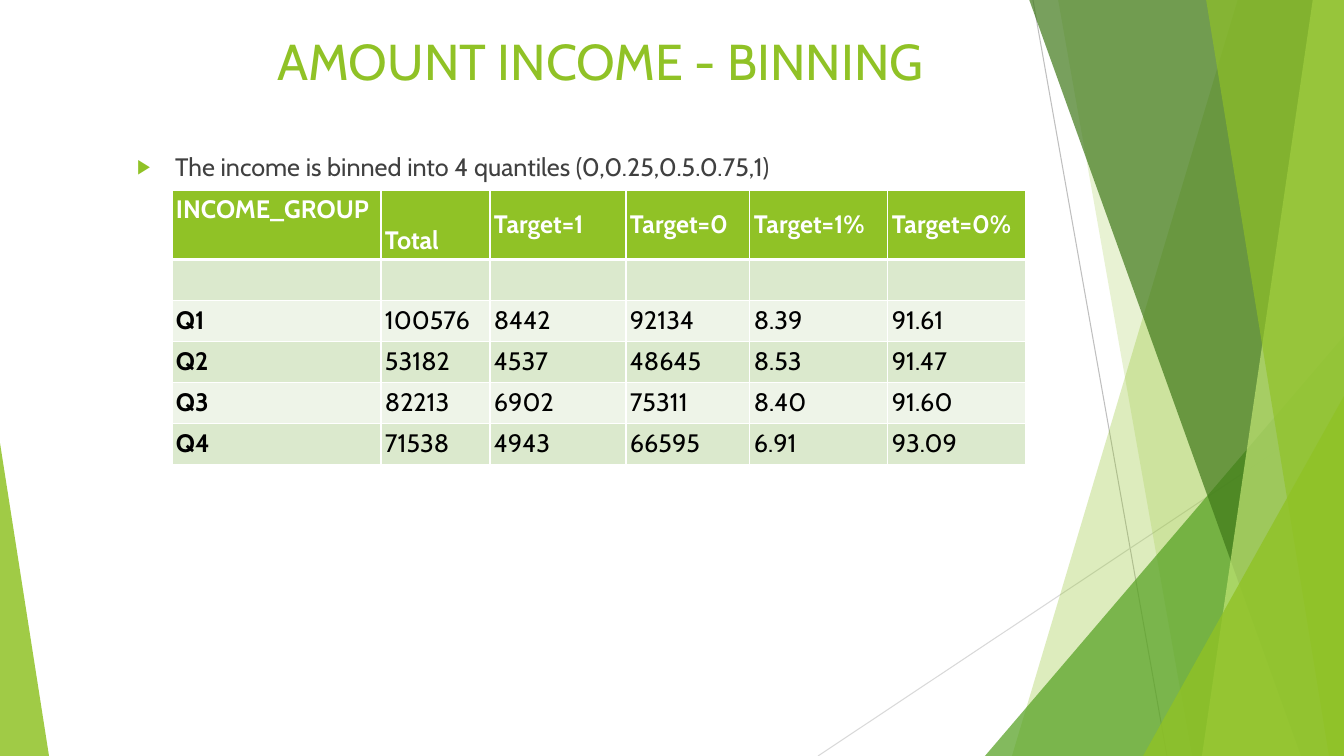
from lxml import etree
from pptx import Presentation
from pptx import util as u
from pptx.dml.color import RGBColor
from pptx.enum import shapes, text
from pptx.oxml.ns import qn

SCALE = 12192000 / 1344  # EMU per px
WIDTH, HEIGHT = 1344, 756
GREEN, WHITE, BLACK, GREY = "90C226", "FFFFFF", "000000", "404040"
BANDS = ("DBE9CD", "EEF4E8")


def px(n):
    return u.Emu(round(n * SCALE))


def rgb(value):
    return RGBColor.from_string(value)


def child(parent, tag, **attrs):
    return etree.SubElement(parent, qn(tag), attrs)


def write(p, content, size=18, color=BLACK, bold=False, align=None, font="Cabin"):
    """Write formatted text into a paragraph; newlines become line breaks."""
    p.alignment = align
    p.space_before = u.Pt(0)
    for i, line in enumerate(content.split("\n")):
        if i:
            p.add_line_break()
        if not line:
            continue
        r = p.add_run()
        r.text = line
        r.font.name, r.font.size, r.font.bold = font, u.Pt(size), bold
        r.font.color.rgb = rgb(color)


class Deck:
    def __init__(self):
        self.prs = Presentation()
        self.prs.slide_width, self.prs.slide_height = px(WIDTH), px(HEIGHT)
        self.slide = self.prs.slides.add_slide(self.prs.slide_layouts[1])
        self.shapes = self.slide.shapes

    def line(self, x1, y1, x2, y2, color):
        cxn = self.shapes.add_connector(
            shapes.MSO_CONNECTOR.STRAIGHT, px(x1), px(y1), px(x2), px(y2))
        cxn.line.color.rgb = rgb(color)
        cxn.line.width = u.Pt(0.75)
        child(cxn._element.spPr, "a:effectLst")

    def paint(self, sp, color, opacity):
        sp.shadow.inherit = False
        sp.line.fill.background()
        sp.fill.solid()
        sp.fill.fore_color.rgb = rgb(color)
        srgb = sp._element.spPr.find(".//" + qn("a:srgbClr"))
        child(srgb, "a:alpha", val=str(opacity * 1000))

    def band(self, top, bottom, color, opacity):
        """Full-height band from a slanted left edge to the right slide edge."""
        fb = self.shapes.build_freeform(px(top), px(-1), scale=1.0)
        fb.add_line_segments([(px(x), px(y)) for x, y in (
            (WIDTH, -1), (WIDTH, HEIGHT), (bottom, HEIGHT))], close=True)
        self.paint(fb.convert_to_shape(), color, opacity)

    def triangle(self, x, y, w, apex, color, opacity):
        """Triangle standing on the bottom slide edge."""
        sp = self.shapes.add_shape(
            shapes.MSO_SHAPE.ISOSCELES_TRIANGLE, px(x), px(y), px(w), px(HEIGHT - y))
        sp.adjustments[0] = apex
        self.paint(sp, color, opacity)

    def placeholder(self, idx, x, y, w, h):
        """Move a placeholder in front of the decoration; return its paragraph."""
        sp = self.slide.placeholders[idx]
        self.shapes._spTree.append(sp._element)
        sp.left, sp.top, sp.width, sp.height = px(x), px(y), px(w), px(h)
        tf = sp.text_frame
        tf.word_wrap = True
        tf.auto_size = text.MSO_AUTO_SIZE.NONE
        tf.vertical_anchor = text.MSO_ANCHOR.TOP
        return tf.paragraphs[0]

    def title(self, content, *box):
        write(self.placeholder(0, *box), content, size=36, color=GREEN,
              align=text.PP_ALIGN.CENTER)

    def bullet(self, content, *box):
        p = self.placeholder(1, *box)
        pPr = p._p.get_or_add_pPr()
        pPr.set("marL", str(px(38)))
        pPr.set("indent", str(px(-38)))
        child(child(pPr, "a:buClr"), "a:srgbClr", val=GREEN)
        child(pPr, "a:buSzPct", val="80000")
        child(pPr, "a:buChar", char="▶")
        write(p, content, color=GREY)

    def borders(self, cell, **widths):
        tcPr = cell._tc.get_or_add_tcPr()
        for side in "LRTB":
            ln = child(tcPr, "a:ln" + side, w=str(u.Pt(widths.get(side, 1))))
            child(child(ln, "a:solidFill"), "a:srgbClr", val=WHITE)

    def table(self, rows, x, y, widths, heights):
        tbl = self.shapes.add_table(len(rows), len(widths), px(x), px(y),
                                    px(sum(widths)), px(sum(heights))).table
        for col, w in zip(tbl.columns, widths):
            col.width = px(w)
        for i, (row, h) in enumerate(zip(rows, heights)):
            tbl.rows[i].height = px(h)
            header = i == 0
            for j, value in enumerate(row):
                cell = tbl.cell(i, j)
                cell.margin_left = cell.margin_right = px(4)
                cell.margin_top = cell.margin_bottom = px(4)
                # The first header sits level with the upper line of its row
                top = header and j == 0
                cell.vertical_anchor = (
                    text.MSO_ANCHOR.TOP if top else text.MSO_ANCHOR.MIDDLE)
                self.borders(cell, B=3 if header else 1, T=3 if i == 1 else 1)
                cell.fill.solid()
                cell.fill.fore_color.rgb = rgb(GREEN if header else BANDS[(i - 1) % 2])
                write(cell.text_frame.paragraphs[0], value,
                      color=WHITE if header else BLACK, bold=header or j == 0)


def main():
    deck = Deck()

    # Background facets, back to front
    deck.line(1033, 0, 1167, HEIGHT, "BFBFBF")
    deck.line(WIDTH, 406, 818, HEIGHT, "D9D9D9")
    deck.band(1238, 1012, GREEN, 30)
    deck.band(1058, 1192, GREEN, 20)
    deck.triangle(985, 336, 359, 1, "54A021", 72)
    deck.band(1029, 1301, "3F7819", 70)
    deck.band(1313, 1202, "C0E474", 70)
    deck.band(1206, 1329, GREEN, 65)
    deck.triangle(1143, 396, 201, 1, GREEN, 80)
    deck.triangle(0, 443, 49, 0, GREEN, 85)

    # Title and bullet
    deck.title("AMOUNT INCOME - BINNING", 21, 25, 1159, 89)
    deck.bullet("The income is binned into 4 quantiles (0,0.25,0.5.0.75,1)",
                127, 146, 948, 427)

    # Income quantile table
    rows = [
        ["INCOME_GROUP", "\nTotal", "Target=1", "Target=0", "Target=1%", "Target=0%"],
        [""] * 6,
        ["Q1", "100576", "8442", "92134", "8.39", "91.61"],
        ["Q2", "53182", "4537", "48645", "8.53", "91.47"],
        ["Q3", "82213", "6902", "75311", "8.40", "91.60"],
        ["Q4", "71538", "4943", "66595", "6.91", "93.09"],
    ]
    deck.table(rows, 172, 190, [209, 109, 136, 124, 138, 138], [68] + [41] * 5)

    deck.prs.save("out.pptx")


if __name__ == "__main__":
    main()
